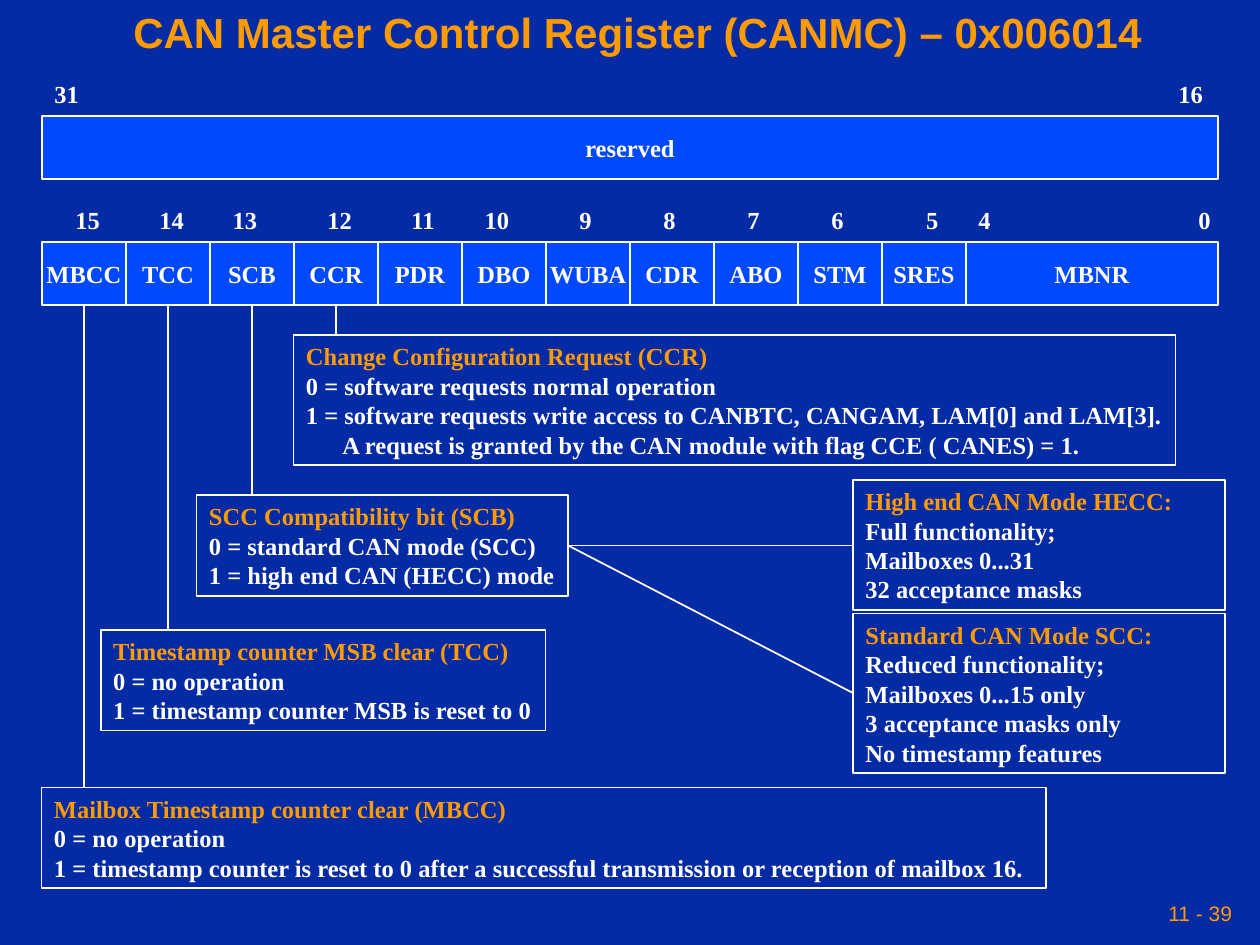
from pptx import Presentation
from pptx.dml.color import RGBColor
from pptx.enum.shapes import MSO_CONNECTOR, MSO_SHAPE
from pptx.enum.text import MSO_ANCHOR, MSO_AUTO_SIZE, PP_ALIGN
from pptx.oxml.ns import qn
from pptx.util import Inches, Pt
from lxml.etree import SubElement

WIDTH, HEIGHT = 10, 7.5
COLUMN = WIDTH / 15
MARGIN = COLUMN / 2
ROW = 0.5
BITS_HIGH, REGISTER_HIGH = 0.58, 0.92
BITS_LOW, REGISTER_LOW = 1.58, 1.92
NAVY, BLUE, WHITE, ORANGE = "042AA4", "0249FC", "FFFFFF", "FE9B03"
SERIF, SANS = "Times New Roman", "Arial"

FIELDS = ["MBCC", "TCC", "SCB", "CCR", "PDR", "DBO",
          "WUBA", "CDR", "ABO", "STM", "SRES"]
# Bit number and its left edge, in register columns
HIGH_BITS = [("31", 0), ("16", 13.38)]
LOW_BITS = [("15", 0.25), ("14", 1.25), ("13", 2.12), ("12", 3.25),
            ("11", 4.25), ("10", 5.12), ("9", 6.25), ("8", 7.25),
            ("7", 8.25), ("6", 9.25), ("5", 10.38), ("4", 11), ("0", 13.62)]

# Register column, left, top, width, lines
FIELD_NOTES = [
    (0, 0.33, 6.25, 7.97, [
        "Mailbox Timestamp counter clear (MBCC)",
        "0 = no operation",
        "1 = timestamp counter is reset to 0 after a successful "
        "transmission or reception of mailbox 16."]),
    (1, 0.8, 5, 3.53, [
        "Timestamp counter MSB clear (TCC)",
        "0 = no operation",
        "1 = timestamp counter MSB is reset to 0"]),
    (2, 1.56, 3.93, 2.95, [
        "SCC Compatibility bit (SCB)",
        "0 = standard CAN mode (SCC)",
        "1 = high end CAN (HECC) mode"]),
    (3, 2.33, 2.66, 7, [
        "Change Configuration Request (CCR)",
        "0 = software requests normal operation",
        "1 = software requests write access to CANBTC, CANGAM, "
        "LAM[0] and LAM[3].",
        "A request is granted by the CAN module with flag CCE ( CANES) = 1."]),
]
# Top, lines, height at which the branch line arrives
MODE_NOTES = [
    (3.81, ["High end CAN Mode HECC:", "Full functionality;",
            "Mailboxes 0...31", "32 acceptance masks"], 4.33),
    (4.87, ["Standard CAN Mode SCC:", "Reduced functionality;",
            "Mailboxes 0...15 only", "3 acceptance masks only",
            "No timestamp features"], 5.5),
]
MODE_LEFT, MODE_WIDTH = 6.77, 2.95
BRANCH = (4.51, 4.33)


def color(hex_code):
    return RGBColor.from_string(hex_code)


def column_x(column):
    return MARGIN + column * COLUMN


def add_line_of_text(para, text, hex_code=WHITE, size=14, font=SERIF, bold=True):
    span = para.add_run()
    span.text = text
    span.font.size, span.font.name, span.font.bold = Pt(size), font, bold
    span.font.color.rgb = color(hex_code)


def add_label(page, text, left, top, width, height, align=PP_ALIGN.LEFT,
              anchor=MSO_ANCHOR.TOP, **style):
    box = page.shapes.add_textbox(*map(Inches, (left, top, width, height)))
    frame = box.text_frame
    frame.word_wrap = False
    frame.vertical_anchor = anchor
    frame.paragraphs[0].alignment = align
    add_line_of_text(frame.paragraphs[0], text, **style)
    return frame


def add_box(page, left, top, width, height):
    box = page.shapes.add_shape(
        MSO_SHAPE.RECTANGLE, *map(Inches, (left, top, width, height)))
    box.shadow.inherit = False
    box.fill.background()
    box.line.color.rgb = color(WHITE)
    box.line.width = Pt(1)
    box.text_frame.word_wrap = False
    return box


def add_field(page, name, column, span, top):
    box = add_box(page, column_x(column), top, span * COLUMN, ROW)
    box.fill.solid()
    box.fill.fore_color.rgb = color(BLUE)
    box.text_frame.vertical_anchor = MSO_ANCHOR.MIDDLE
    para = box.text_frame.paragraphs[0]
    para.alignment = PP_ALIGN.CENTER
    add_line_of_text(para, name)


def add_bits(page, bits, top):
    for bit, column in bits:
        frame = add_label(page, bit, column_x(column), top,
                          0.21 + 0.09 * len(bit), 0.34)
        frame.margin_right = 0


def add_note(page, left, top, width, lines):
    """Outlined box with an orange heading; a line that opens with "A " is indented."""
    box = add_box(page, left, top, width, 0.1 + 0.233 * len(lines))
    frame = box.text_frame
    frame.word_wrap = True
    frame.auto_size = MSO_AUTO_SIZE.SHAPE_TO_FIT_TEXT
    frame.vertical_anchor = MSO_ANCHOR.TOP
    frame.margin_right = 0
    for index, text in enumerate(lines):
        para = frame.add_paragraph() if index else frame.paragraphs[0]
        para.alignment = PP_ALIGN.LEFT
        if text.startswith("A "):
            para._p.get_or_add_pPr().set("marL", str(Inches(0.29)))
        add_line_of_text(para, text, WHITE if index else ORANGE)


def add_link(page, start, end):
    link = page.shapes.add_connector(
        MSO_CONNECTOR.STRAIGHT, *map(Inches, (*start, *end)))
    link.line.color.rgb = color(WHITE)
    link.line.width = Pt(1)
    SubElement(link._element.spPr, qn("a:effectLst"))


def main():
    deck = Presentation()
    deck.slide_width, deck.slide_height = Inches(WIDTH), Inches(HEIGHT)
    page = deck.slides.add_slide(deck.slide_layouts[6])
    page.background.fill.solid()
    page.background.fill.fore_color.rgb = color(NAVY)

    add_label(page, "CAN Master Control Register (CANMC) – 0x006014",
              0.96, 0, 8.2, 0.5, hex_code=ORANGE, size=24, font=SANS)
    number = add_label(page, "11 - 39", 6.83, 7.08, 3, 0.33, PP_ALIGN.RIGHT,
                       MSO_ANCHOR.MIDDLE, hex_code=ORANGE, size=12, font=SANS,
                       bold=False)
    number.margin_left = number.margin_right = Inches(0.05)

    add_bits(page, HIGH_BITS, BITS_HIGH)
    add_field(page, "reserved", 0, 14, REGISTER_HIGH)
    add_bits(page, LOW_BITS, BITS_LOW)
    for column, name in enumerate(FIELDS):
        add_field(page, name, column, 1, REGISTER_LOW)
    add_field(page, "MBNR", len(FIELDS), 3, REGISTER_LOW)

    for column, left, top, width, lines in FIELD_NOTES:
        add_note(page, left, top, width, lines)
        middle = column_x(column + 0.5)
        add_link(page, (middle, REGISTER_LOW + ROW), (middle, top))
    for top, lines, arrival in MODE_NOTES:
        add_note(page, MODE_LEFT, top, MODE_WIDTH, lines)
        add_link(page, BRANCH, (MODE_LEFT, arrival))

    deck.save("out.pptx")


if __name__ == "__main__":
    main()
